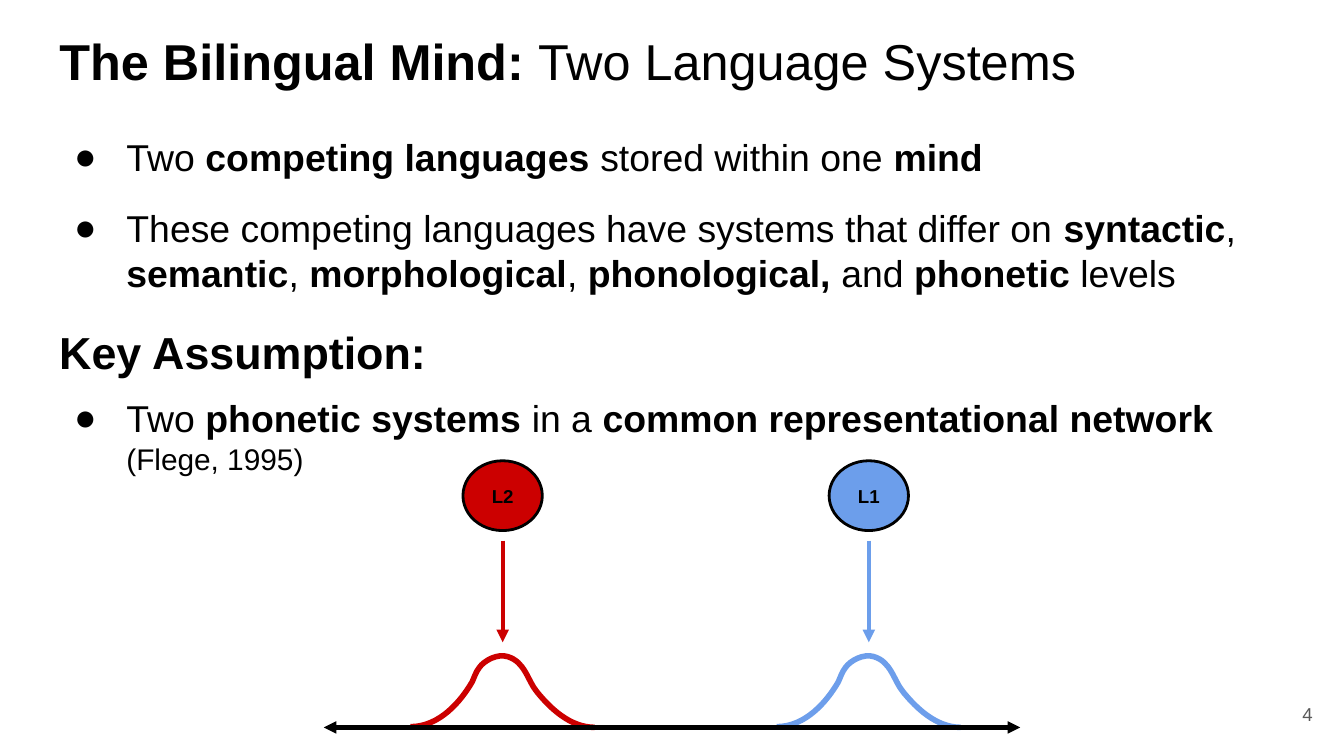
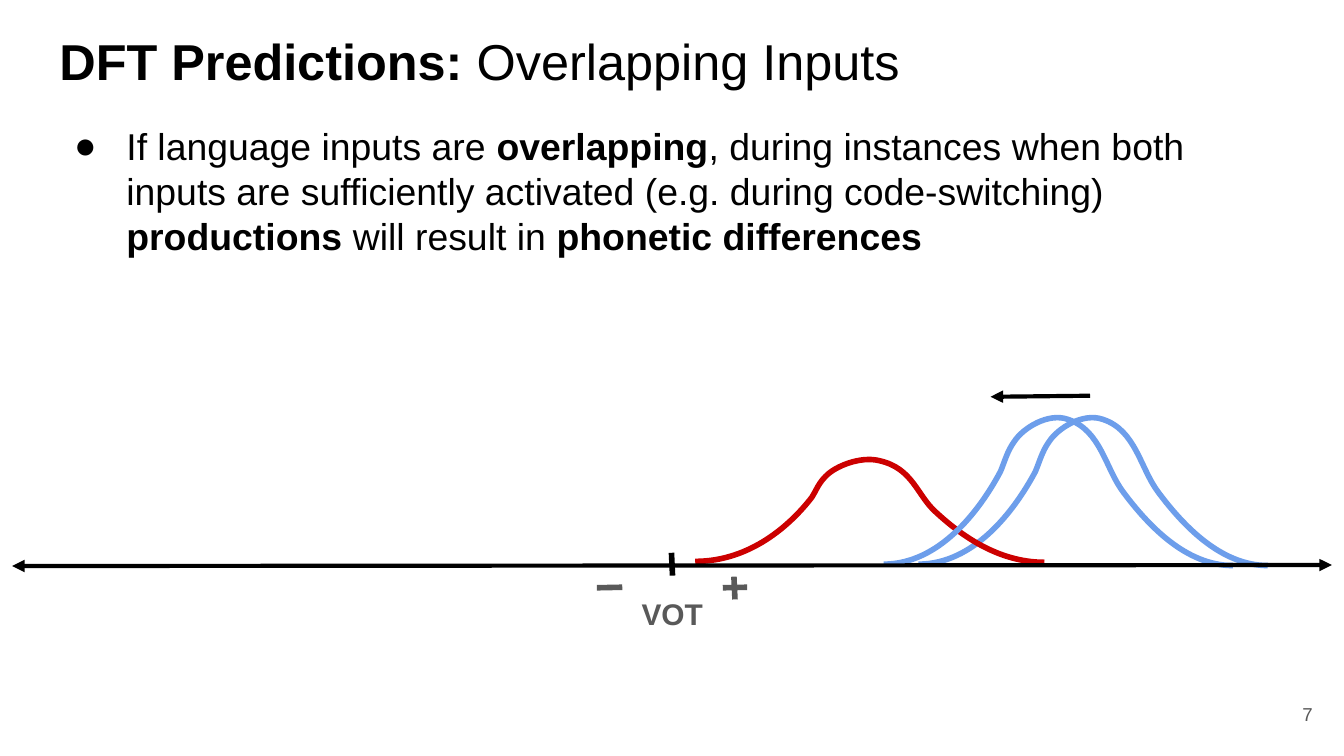
import pptx
import pptx.util
import pptx.dml.color
import pptx.enum.shapes
import pptx.enum.text
import pptx.oxml.ns
import lxml.etree

Cm = pptx.util.Cm
Pt = pptx.util.Pt
ALIGN = pptx.enum.text.PP_ALIGN
ANCHOR = pptx.enum.text.MSO_ANCHOR

FONT = "Arial"
LEFT, WIDE = 0.87, 23.67
HUES = {
    "ink": "000000",
    "gray": "595959",
    "red": "CC0000",
    "blue": "6D9EEB",
    "sky": "6C9EEB",
}

BELL_WIDE, BELL_HIGH = 260, 110
BELL_START = (0, 109)
BELL_CURVES = [
    [(41, 109), (71, 70), (87, 40)],
    [(90, 33), (92, 25), (97, 18)],
    [(104, 7), (123, -4), (137, 1)],
    [(162, 9), (165, 38), (179, 56)],
    [(197, 80), (225, 110), (260, 110)],
]


def hue(name):
    return pptx.dml.color.RGBColor.from_string(HUES[name])


def add_tag(parent, name, **attrs):
    tag = pptx.oxml.ns.qn("a:" + name)
    return lxml.etree.SubElement(parent, tag, attrs)


def style(run, size, bold, color):
    run.font.name = FONT
    run.font.size = Pt(size)
    run.font.bold = bold
    run.font.color.rgb = hue(color)


def fill_text(frame, text, size, color="ink", align=ALIGN.LEFT, anchor=ANCHOR.TOP):
    frame.word_wrap = True
    frame.auto_size = pptx.enum.text.MSO_AUTO_SIZE.NONE
    frame.vertical_anchor = anchor
    frame.margin_left = frame.margin_right = Pt(7.2)
    frame.margin_top = frame.margin_bottom = Pt(7.2)
    para = frame.paragraphs[0]
    para.alignment = align
    for order, part in enumerate(text.split("*")):
        if part:
            run = para.add_run()
            run.text = part
            style(run, size, order % 2 == 1, color)
    return para


def add_text(slide, box, text, size, **look):
    shape = slide.shapes.add_textbox(*map(Cm, box))
    return fill_text(shape.text_frame, text, size, **look)


def add_title(slide, text):
    title = slide.shapes.title
    title.left, title.top = Cm(LEFT), Cm(0.31)
    title.width, title.height = Cm(WIDE), Cm(1.6)
    fill_text(title.text_frame, text, 27)


def add_point(slide, top, high, text):
    para = add_text(slide, (LEFT, top, WIDE, high), text, 20)
    props = para._p.get_or_add_pPr()
    props.set("marL", str(Cm(1.27)))
    props.set("indent", str(-Cm(0.99)))
    add_tag(add_tag(props, "buClr"), "srgbClr", val=HUES["ink"])
    add_tag(props, "buFont", typeface=FONT)
    add_tag(props, "buChar", char="●")
    return para


def add_line(slide, start, end, color="ink", width=2.25, head=False, tail=False):
    kind = pptx.enum.shapes.MSO_CONNECTOR.STRAIGHT
    line = slide.shapes.add_connector(kind, *map(Cm, start + end))
    line.line.color.rgb = hue(color)
    line.line.width = Pt(width)
    props = line._element.spPr
    stroke = props.find(pptx.oxml.ns.qn("a:ln"))
    for name, shown in (("headEnd", head), ("tailEnd", tail)):
        if shown:
            add_tag(stroke, name, type="triangle")
    add_tag(props, "effectLst")


def add_bell(slide, left, top, wide, high, color):
    def place(dot):
        x, y = dot
        return Cm(left + wide * x / BELL_WIDE), Cm(top + high * y / BELL_HIGH)

    pen = slide.shapes.build_freeform(*place(BELL_START))
    pen.add_line_segments([place(curve[-1]) for curve in BELL_CURVES], close=False)
    bell = pen.convert_to_shape()
    bell.shadow.inherit = False
    bell.fill.background()
    bell.line.color.rgb = hue(color)
    bell.line.width = Pt(3)

    sides = list(bell._element.iter(pptx.oxml.ns.qn("a:lnTo")))
    for side, curve in zip(sides, BELL_CURVES):
        bend = add_tag(side.getparent(), "cubicBezTo")
        for x, y in map(place, curve):
            add_tag(bend, "pt", x=str(x - bell.left), y=str(y - bell.top))
        side.getparent().remove(side)


def add_ball(slide, mid, text, color):
    wide = 1.5
    box = (mid - wide / 2, 8.71, wide, 1.32)
    kind = pptx.enum.shapes.MSO_SHAPE.OVAL
    ball = slide.shapes.add_shape(kind, *map(Cm, box))
    ball.shadow.inherit = False
    ball.fill.solid()
    ball.fill.fore_color.rgb = hue(color)
    ball.line.color.rgb = hue("ink")
    ball.line.width = Pt(1.5)
    fill_text(ball.text_frame, text, 10, align=ALIGN.CENTER, anchor=ANCHOR.MIDDLE)


def new_slide(deck, title, number):
    slide = deck.slides.add_slide(deck.slide_layouts[5])
    add_title(slide, title)
    add_text(slide, (23.54, 12.95, 1.52, 1.09), number, 10,
             color="gray", align=ALIGN.RIGHT, anchor=ANCHOR.MIDDLE)
    return slide


def draw_mind(deck):
    slide = new_slide(deck, "*The Bilingual Mind: *Two Language Systems", "4")
    add_point(slide, 2.29, 1.35,
              "Two *competing languages* stored within one *mind*")
    add_point(slide, 3.62, 2.13,
              "These competing languages have systems that differ on *syntactic*, "
              "*semantic*, *morphological*, *phonological, *and *phonetic *levels")
    add_text(slide, (LEFT, 5.88, WIDE, 1.35), "*Key Assumption:*", 24)
    claim = add_point(slide, 7.22, 2.06,
                      "Two* phonetic systems *in a *common representational "
                      "network *(Flege, 1995)")
    claim.runs[-1].font.size = Pt(16)

    wide, base = 3.48, 13.75
    for mid, name, color, curve in (
        (9.5, "L2", "red", "red"),
        (16.42, "L1", "sky", "blue"),
    ):
        add_bell(slide, mid - wide / 2, 12.4, wide, base - 12.4, curve)
        add_line(slide, (mid, 10.22), (mid, 12.14), color, tail=True)
        add_ball(slide, mid, f"*{name}*", color)
    add_line(slide, (6.12, base), (19.28, base), head=True, tail=True)


def draw_inputs(deck):
    slide = new_slide(deck, "*DFT Predictions: *Overlapping Inputs", "7")
    add_point(slide, 2.08, 3.07,
              "If language inputs are *overlapping*, during instances when both "
              "inputs are sufficiently activated (e.g. during code-switching)"
              "* productions* will result in *phonetic differences*")

    wide, high = 6.6, 2.79
    add_bell(slide, 17.36, 7.9, wide, high, "blue")
    add_bell(slide, 13.14, 8.69, wide, 1.94, "red")
    add_line(slide, (12.69, 10.45), (12.71, 10.88), width=3)
    for start, end in (
        ((13.87, 10.9), (13.89, 11.33)),
        ((14.12, 11.1), (13.66, 11.11)),
        ((11.76, 11.1), (11.28, 11.11)),
    ):
        add_line(slide, start, end, "gray", 3)
    add_text(slide, (11.79, 11.01, 1.83, 1.04), "*VOT*", 16,
             color="gray", align=ALIGN.CENTER)
    add_bell(slide, 16.7, 7.9, wide, high, "blue")
    add_line(slide, (0.23, 10.7), (25.17, 10.68), head=True, tail=True)
    add_line(slide, (20.6, 7.48), (18.72, 7.5), tail=True)


def main():
    deck = pptx.Presentation()
    deck.slide_width, deck.slide_height = Cm(25.4), Cm(14.29)
    draw_mind(deck)
    draw_inputs(deck)
    deck.save("out.pptx")


if __name__ == "__main__":
    main()
